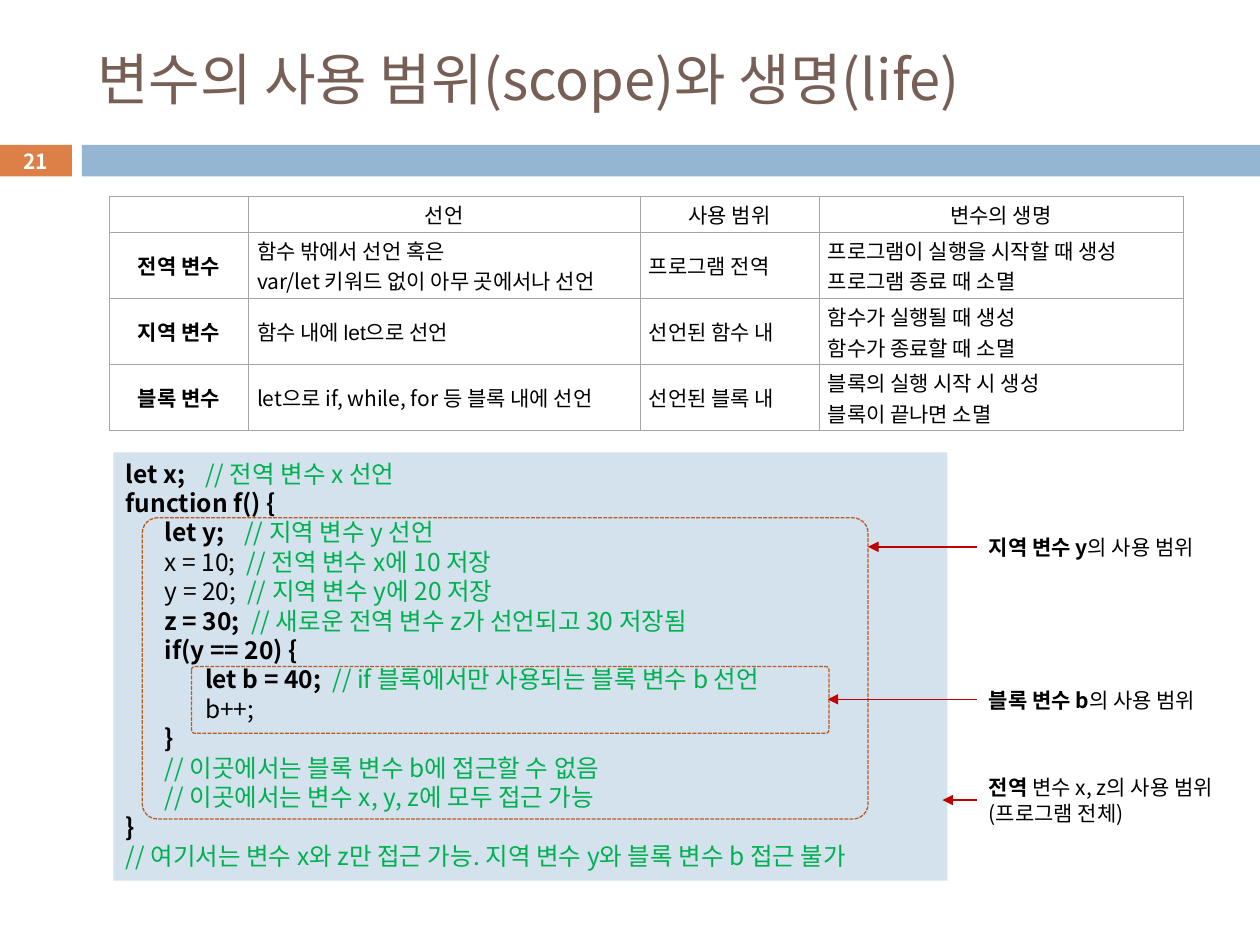
from dataclasses import dataclass

from lxml.etree import SubElement
from pptx import Presentation
from pptx.dml.color import RGBColor
from pptx.enum.dml import MSO_LINE
from pptx.enum.shapes import MSO_CONNECTOR, MSO_SHAPE
from pptx.enum.text import MSO_ANCHOR, MSO_AUTO_SIZE, PP_ALIGN
from pptx.oxml.ns import qn
from pptx.util import Inches, Pt

FONT = "Noto Sans CJK KR"
COLORS = {
    "title": "775F55", "accent": "DD8047", "band": "94B6D2", "code": "D4E2ED",
    "comment": "00B050", "scope": "B95B22", "arrow": "C00000",
    "border": "A6A6A6", "black": "000000", "white": "FFFFFF",
}


@dataclass(frozen=True)
class CodeLine:
    indent: int
    code: str = ""
    comment: str = ""
    bold: bool = False


@dataclass(frozen=True)
class Label:
    top: float
    width: float
    height: float
    arrow_end: float
    bold: str
    plain: str
    second: str = ""


@dataclass(frozen=True)
class Box:
    left: float
    top: float
    width: float
    height: float


HEADERS = ["", "선언", "사용 범위", "변수의 생명"]
ROWS = [
    ["전역 변수", "함수 밖에서 선언 혹은\nvar/let 키워드 없이 아무 곳에서나 선언",
     "프로그램 전역", "프로그램이 실행을 시작할 때 생성\n프로그램 종료 때 소멸"],
    ["지역 변수", "함수 내에 let으로 선언",
     "선언된 함수 내", "함수가 실행될 때 생성\n함수가 종료할 때 소멸"],
    ["블록 변수", "let으로 if, while, for 등 블록 내에 선언",
     "선언된 블록 내", "블록의 실행 시작 시 생성\n블록이 끝나면 소멸"],
]
ARIAL_CELLS = {(1, 0), (2, 0), (2, 1), (2, 2), (3, 0)}
COLUMN_WIDTHS = [1.1, 3.11, 1.42, 2.89]
ROW_HEIGHTS = [0.24, 0.53, 0.4, 0.49]

CODE = [
    CodeLine(0, "let x; \t", "// 전역 변수 x 선언", True),
    CodeLine(0, "function f() {", bold=True),
    CodeLine(1, "let y; \t", "// 지역 변수 y 선언", True),
    CodeLine(1, "x = 10;  ", "// 전역 변수 x에 10 저장"),
    CodeLine(1, "y = 20;  ", "// 지역 변수 y에 20 저장"),
    CodeLine(1, "z = 30;  ", "// 새로운 전역 변수 z가 선언되고 30 저장됨", True),
    CodeLine(1, "if(y == 20) {", bold=True),
    CodeLine(2, "let b = 40;  ", "// if 블록에서만 사용되는 블록 변수 b 선언", True),
    CodeLine(2, "b++;"),
    CodeLine(1, "}", bold=True),
    CodeLine(1, comment="// 이곳에서는 블록 변수 b에 접근할 수 없음"),
    CodeLine(1, comment="// 이곳에서는 변수 x, y, z에 모두 접근 가능"),
    CodeLine(0, "}", bold=True),
    CodeLine(0, comment="// 여기서는 변수 x와 z만 접근 가능. 지역 변수 y와 블록 변수 b 접근 불가"),
]
TAB_STOPS = [0.31, 0.63, 0.94]
SCOPES = [Box(1.13, 4.11, 5.76, 2.39), Box(1.52, 5.29, 5.06, 0.53)]
LABEL_LEFT = 7.75
LABELS = [
    Label(4.19, 2.11, 0.3, 6.89, "지역 변수 y", "의 사용 범위"),
    Label(5.4, 2.06, 0.3, 6.57, "블록 변수 b", "의 사용 범위"),
    Label(6.1, 2.21, 0.5, 7.48, "전역 ", "변수 x, z의 사용 범위", "(프로그램 전체)"),
]


def color(name: str) -> RGBColor:
    return RGBColor.from_string(COLORS[name])


def emu(box: Box) -> list:
    return [Inches(value) for value in (box.left, box.top, box.width, box.height)]


def format_run(run, size: float, color_name: str = "black", bold: bool = False, font: str = FONT) -> None:
    run.font.size = Pt(size)
    run.font.bold = bold
    run.font.name = font
    run.font.color.rgb = color(color_name)
    SubElement(run._r.get_or_add_rPr(), qn("a:ea"), typeface=FONT)


def add_run(paragraph, text: str, size: float, color_name: str = "black", bold: bool = False) -> None:
    run = paragraph.add_run()
    run.text = text
    format_run(run, size, color_name, bold)


def add_box(slide, kind, box: Box, fill: str = ""):
    shape = slide.shapes.add_shape(kind, *emu(box))
    shape.shadow.inherit = False
    if fill:
        shape.fill.solid()
        shape.fill.fore_color.rgb = color(fill)
        shape.line.fill.background()
    else:
        shape.fill.background()
    return shape


def add_heading(slide) -> None:
    title = slide.shapes.title
    title.left, title.top, title.width, title.height = emu(Box(0.67, 0.25, 8.92, 0.74))
    frame = title.text_frame
    frame.text = "변수의 사용 범위(scope)와 생명(life)"
    frame.auto_size = MSO_AUTO_SIZE.NONE
    frame.vertical_anchor = MSO_ANCHOR.MIDDLE
    frame.paragraphs[0].alignment = PP_ALIGN.LEFT
    format_run(frame.paragraphs[0].runs[0], 32, "title")
    add_box(slide, MSO_SHAPE.RECTANGLE, Box(0.65, 1.15, 9.35, 0.25), "band")
    number = add_box(slide, MSO_SHAPE.RECTANGLE, Box(-0.01, 1.15, 0.58, 0.25), "accent")
    number.text_frame.vertical_anchor = MSO_ANCHOR.MIDDLE
    number.text_frame.margin_top = number.text_frame.margin_bottom = 0
    add_run(number.text_frame.paragraphs[0], "21", 11.9, "white", True)


def format_cell(cell, text: str, row: int, column: int) -> None:
    properties = cell._tc.get_or_add_tcPr()
    for side in ("lnL", "lnR", "lnT", "lnB"):
        line = SubElement(properties, qn(f"a:{side}"), w=str(Pt(0.5)))
        fill = SubElement(line, qn("a:solidFill"))
        SubElement(fill, qn("a:srgbClr"), val=COLORS["border"])
    cell.fill.solid()
    cell.fill.fore_color.rgb = color("white")
    cell.margin_left = cell.margin_right = Inches(0.07)
    cell.margin_top = cell.margin_bottom = Inches(0.02)
    cell.vertical_anchor = MSO_ANCHOR.MIDDLE
    cell.text_frame.text = text
    for paragraph in cell.text_frame.paragraphs:
        paragraph.alignment = PP_ALIGN.CENTER if row == 0 or column == 0 else PP_ALIGN.LEFT
        for run in paragraph.runs:
            font = "Arial" if (row, column) in ARIAL_CELLS else FONT
            format_run(run, 12, bold=column == 0, font=font)
        if not text:
            SubElement(paragraph._p, qn("a:endParaRPr"), sz="1200")


def add_scope_table(slide) -> None:
    rows = [HEADERS, *ROWS]
    table = slide.shapes.add_table(len(rows), len(HEADERS), *emu(Box(0.87, 1.56, 8.52, 1.7))).table
    table.first_row = table.horz_banding = False
    for column, width in zip(table.columns, COLUMN_WIDTHS):
        column.width = Inches(width)
    for row, height in zip(table.rows, ROW_HEIGHTS):
        row.height = Inches(height)
    for row_index, texts in enumerate(rows):
        for column_index, text in enumerate(texts):
            format_cell(table.cell(row_index, column_index), text, row_index, column_index)


def add_code(slide) -> None:
    frame = add_box(slide, MSO_SHAPE.RECTANGLE, Box(0.9, 3.59, 6.62, 3.4), "code").text_frame
    frame.vertical_anchor = MSO_ANCHOR.TOP
    for index, line in enumerate(CODE):
        paragraph = frame.add_paragraph() if index else frame.paragraphs[0]
        tabs = SubElement(paragraph._p.get_or_add_pPr(), qn("a:tabLst"))
        for stop in TAB_STOPS:
            SubElement(tabs, qn("a:tab"), pos=str(Inches(stop)), algn="l")
        paragraph.alignment = PP_ALIGN.LEFT
        paragraph.line_spacing = Pt(16.8)
        indent = "\t" * line.indent
        if line.code:
            add_run(paragraph, indent + line.code, 14, bold=line.bold)
            indent = ""
        if line.comment:
            add_run(paragraph, indent + line.comment, 14, "comment")
    for box in SCOPES:
        outline = add_box(slide, MSO_SHAPE.ROUNDED_RECTANGLE, box)
        outline.adjustments[0] = 0.05
        outline.line.color.rgb = color("scope")
        outline.line.width = Pt(0.75)
        outline.line.dash_style = MSO_LINE.SQUARE_DOT


def add_label(slide, label: Label) -> None:
    text_box = slide.shapes.add_textbox(*emu(Box(LABEL_LEFT, label.top, label.width, label.height)))
    frame = text_box.text_frame
    frame.word_wrap = False
    frame.vertical_anchor = MSO_ANCHOR.MIDDLE
    add_run(frame.paragraphs[0], label.bold, 12, bold=True)
    add_run(frame.paragraphs[0], label.plain, 12)
    if label.second:
        add_run(frame.add_paragraph(), label.second, 12)
    for paragraph in frame.paragraphs:
        paragraph.line_spacing = Pt(14.9)
    middle = Inches(label.top + label.height / 2)
    arrow = slide.shapes.add_connector(
        MSO_CONNECTOR.STRAIGHT, Inches(LABEL_LEFT), middle, Inches(label.arrow_end), middle)
    arrow.line.color.rgb = color("arrow")
    arrow.line.width = Pt(0.79)
    SubElement(arrow.line._get_or_add_ln(), qn("a:tailEnd"), type="triangle")
    SubElement(arrow._element.spPr, qn("a:effectLst"))


def main() -> None:
    presentation = Presentation()
    presentation.slide_width, presentation.slide_height = Inches(10), Inches(7.5)
    slide = presentation.slides.add_slide(presentation.slide_layouts[5])
    add_heading(slide)
    add_scope_table(slide)
    add_code(slide)
    for label in LABELS:
        add_label(slide, label)
    presentation.save("out.pptx")


if __name__ == "__main__":
    main()
